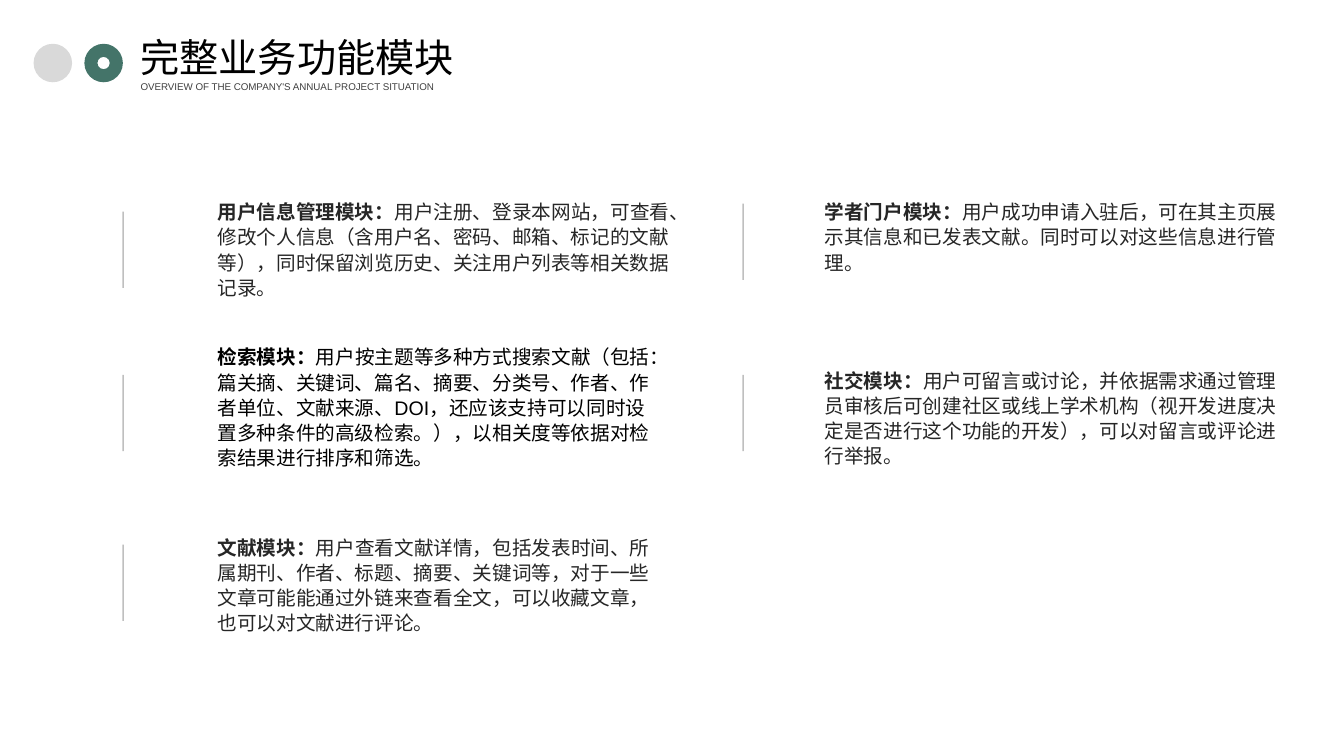
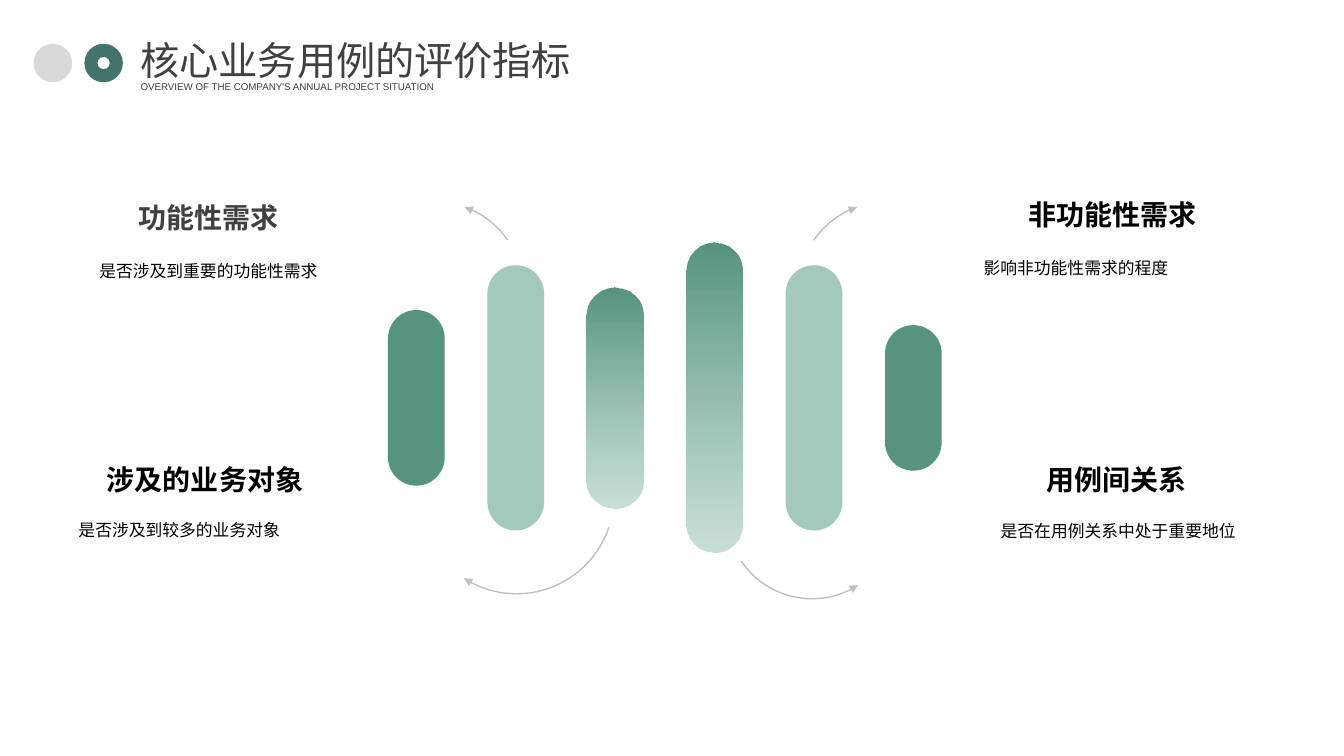
from pptx import Presentation
from pptx.dml.color import RGBColor
from pptx.enum import dml, lang, shapes, text
from pptx.oxml.ns import qn
from pptx.oxml.xmlchemy import OxmlElement
from pptx.util import Pt

FONT = "Arial"
BLACK, INK, GRAY = "000000", "262626", "404040"
RULE, ARROW, DOT = "808080", "BFBFBF", "D9D9D9"
DEEP, GREEN, MINT = "447469", "56947F", "7CB3A1"
LEFT, CENTER = text.PP_ALIGN.LEFT, text.PP_ALIGN.CENTER
RIGHT, JUSTIFY = text.PP_ALIGN.RIGHT, text.PP_ALIGN.JUSTIFY


def color(value):
    return RGBColor.from_string(value)


def set_opacity(shape, percent):
    """Make the last colour of the shape partly transparent."""
    alpha = OxmlElement("a:alpha")
    alpha.set("val", str(percent * 1000))
    list(shape._element.iter(qn("a:srgbClr")))[-1].append(alpha)


def add_text(page, x, y, width, height, content, size, ink=BLACK,
             bold=False, lead="", align=LEFT, spacing=None):
    """Add a one-paragraph text box; lead is a bold opening before content."""
    box = page.shapes.add_textbox(Pt(x), Pt(y), Pt(width), Pt(height))
    box.text_frame.word_wrap = True
    box.text_frame.auto_size = text.MSO_AUTO_SIZE.SHAPE_TO_FIT_TEXT
    para = box.text_frame.paragraphs[0]
    para.alignment = align
    para.line_spacing = spacing
    for words, heavy in ((lead, True), (content, bold)):
        if not words:
            continue
        span = para.add_run()
        span.text = words
        font = span.font
        font.name, font.size, font.bold = FONT, Pt(size), heavy
        font.color.rgb = color(ink)
        font.language_id = lang.MSO_LANGUAGE_ID.SIMPLIFIED_CHINESE
        east_asian = OxmlElement("a:ea")
        east_asian.set("typeface", FONT)
        font._element.find(qn("a:latin")).addnext(east_asian)


def add_shape(page, kind, x, y, width, height, fill=None):
    shape = page.shapes.add_shape(kind, Pt(x), Pt(y), Pt(width), Pt(height))
    shape.shadow.inherit = False
    shape.line.fill.background()
    if fill:
        shape.fill.solid()
        shape.fill.fore_color.rgb = color(fill)
    else:
        shape.fill.background()
    return shape


def add_rule(page, x, y, height):
    rule = page.shapes.add_connector(
        shapes.MSO_CONNECTOR.STRAIGHT, Pt(x), Pt(y), Pt(x), Pt(y + height))
    rule.line.width = Pt(1)
    rule.line.color.rgb = color(RULE)
    set_opacity(rule, 49)
    rule._element.spPr.append(OxmlElement("a:effectLst"))


def add_header(page, title, title_y, ink):
    size, y = 27.5, 31.3
    add_shape(page, shapes.MSO_SHAPE.OVAL, 24, y, size, size, DOT)
    ring = add_shape(page, shapes.MSO_SHAPE.DONUT, 60.3, y, size, size, DEEP)
    ring.adjustments[0] = 0.34
    add_text(page, 93.3, title_y, 330, 41, title, 28, ink, align=JUSTIFY)
    add_text(page, 93.3, 54.2, 358, 16,
             "OVERVIEW OF THE COMPANY'S ANNUAL PROJECT SITUATION",
             7, GRAY, align=JUSTIFY)


def add_module(page, x, y, rule_x, rule_y, width, lines, name, detail, ink=INK):
    """Place a described module beside its thin vertical rule."""
    add_rule(page, rule_x, rule_y, 54.5)
    add_text(page, x, y, width, 18 * lines + 7.2, detail, 14, ink,
             lead=name + "：", spacing=Pt(18))


def add_bar(page, center_x, center_y, height, style):
    width = 40.5
    bar = add_shape(page, shapes.MSO_SHAPE.ROUNDED_RECTANGLE,
                    center_x - width / 2, center_y - height / 2,
                    width, height, MINT if style == "pale" else GREEN)
    bar.adjustments[0] = 0.5
    if style == "pale":
        set_opacity(bar, 71)
    elif style == "fade":
        bar.fill.gradient()
        bar.fill.gradient_angle = 270
        for stop, value in zip(bar.fill.gradient_stops, (GREEN, MINT)):
            stop.color.rgb = color(value)
        set_opacity(bar, 42)


def add_bars(page, x, y, pitch):
    """Row of bars centred on height y, the first centred on x."""
    bars = ((125.5, "plain"), (189.5, "pale"), (157.5, "fade"),
            (221.5, "fade"), (189.5, "pale"), (104, "plain"))
    for index, (height, style) in enumerate(bars):
        add_bar(page, x + index * pitch, y, height, style)


def add_arc(page, x, y, size, start, end, arrow_end):
    """Clockwise arc between two angles, 0 to 360; arrow_end is headEnd or tailEnd."""
    arc = add_shape(page, shapes.MSO_SHAPE.ARC, x, y, size, size)
    for index, angle in enumerate((start, end)):
        arc.adjustments[index] = angle * 0.6
    arc.line.width = Pt(1)
    arc.line.color.rgb = color(ARROW)
    arc.line.dash_style = dml.MSO_LINE.SOLID
    arrow = OxmlElement("a:" + arrow_end)
    arrow.set("type", "triangle")
    arc.line._ln.append(arrow)


def build_modules(page):
    add_header(page, "完整业务功能模块", 20.5, BLACK)
    left, left_rule, right, right_rule = 148.3, 88, 582, 530.8
    wide, narrow = 345, 324.7
    add_module(page, left, 138.2, left_rule, 151.2, wide, 4, "用户信息管理模块",
               "用户注册、登录本网站，可查看、修改个人信息（含用户名、密码、邮箱、"
               "标记的文献等），同时保留浏览历史、关注用户列表等相关数据记录。")
    add_module(page, left, 241.9, left_rule, 267.8, narrow, 5, "检索模块",
               "用户按主题等多种方式搜索文献（包括：篇关摘、关键词、篇名、摘要、"
               "分类号、作者、作者单位、文献来源、DOI，还应该支持可以同时设置多种"
               "条件的高级检索。），以相关度等依据对检索结果进行排序和筛选。", BLACK)
    add_module(page, left, 378, left_rule, 389, narrow, 4, "文献模块",
               "用户查看文献详情，包括发表时间、所属期刊、作者、标题、摘要、关键词等，"
               "对于一些文章可能能通过外链来查看全文，可以收藏文章，也可以对文献进行评论。")
    add_module(page, right, 138.2, right_rule, 145.4, wide, 3, "学者门户模块",
               "用户成功申请入驻后，可在其主页展示其信息和已发表文献。"
               "同时可以对这些信息进行管理。")
    add_module(page, right, 258.5, right_rule, 267.8, wide, 4, "社交模块",
               "用户可留言或讨论，并依据需求通过管理员审核后可创建社区或线上学术机构"
               "（视开发进度决定是否进行这个功能的开发），可以对留言或评论进行举报。")


def add_indicator(page, y, heading, detail, ink=BLACK):
    """Place a heading (text, x, width, align) and a detail that adds gap, spacing."""
    words, x, width, align = heading
    add_text(page, x, y, width, 31.5, words, 20, ink, bold=True, align=align)
    words, x, width, align, gap, spacing = detail
    add_text(page, x, y + gap, width, 26, words, 12,
             align=align, spacing=spacing)


def build_indicators(page):
    add_header(page, "核心业务用例的评价指标", 22.7, GRAY)
    add_bars(page, 297.4, 284.2, 71)
    add_arc(page, 519.1, 306, 121.7, 57.2, 146, "headEnd")
    add_arc(page, 571, 144.7, 121.7, 214, 251.1, "tailEnd")
    add_arc(page, 299.5, 285.1, 139, 18.5, 122.8, "tailEnd")
    add_arc(page, 251.3, 144.7, 121.7, 288.9, 326, "headEnd")
    add_indicator(page, 139.7, ("功能性需求", 87.3, 123, CENTER),
                  ("是否涉及到重要的功能性需求", 49, 185, RIGHT, 38.4, 1.3), GRAY)
    add_indicator(page, 326.9, ("涉及的业务对象", 68.4, 156.2, CENTER),
                  ("是否涉及到较多的业务对象", 49, 206.6, LEFT, 36.3, 1.3))
    add_indicator(page, 137.5, ("非功能性需求", 716.4, 157, CENTER),
                  ("影响非功能性需求的程度", 695.5, 206.6, LEFT, 38.4, 1.3))
    add_indicator(page, 326.9, ("用例间关系", 740.2, 123, LEFT),
                  ("是否在用例关系中处于重要地位", 695.5, 206.6, CENTER, 36, Pt(20)))


def main():
    deck = Presentation()
    deck.slide_width, deck.slide_height = Pt(960), Pt(540)
    for build in (build_modules, build_indicators):
        build(deck.slides.add_slide(deck.slide_layouts[6]))
    deck.save("out.pptx")


if __name__ == "__main__":
    main()
